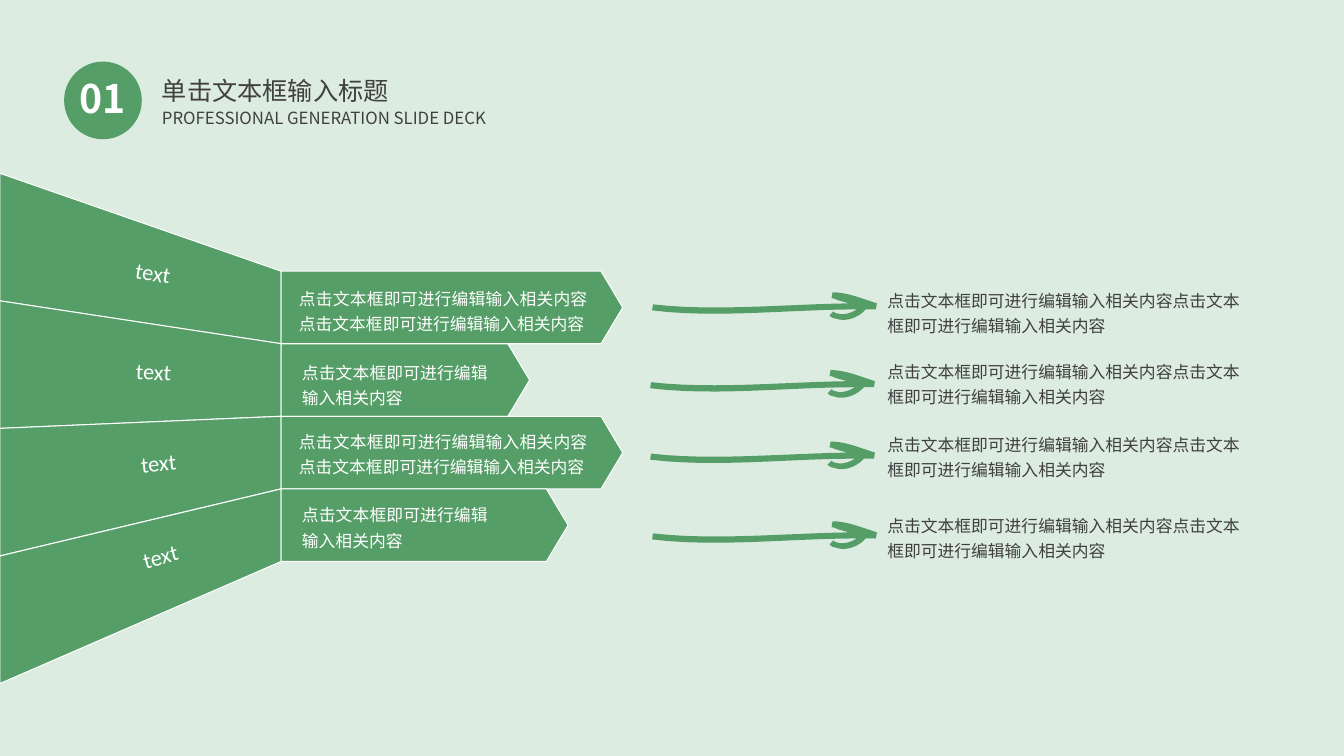
import dataclasses

import pptx
import pptx.dml.color
import pptx.enum.shapes
import pptx.enum.text
import pptx.oxml.ns
import pptx.util
from lxml import etree

Pt = pptx.util.Pt
ALIGN = pptx.enum.text.PP_ALIGN
SHAPES = pptx.enum.shapes.MSO_SHAPE


@dataclasses.dataclass(frozen=True)
class Theme:
    background: str = "DCECE0"
    green: str = "559E67"
    white: str = "FFFFFF"
    dark: str = "404040"
    body_font: str = "Noto Sans CJK SC"
    label_font: str = "Calibri"
    number_size: float = 28
    title_size: float = 18
    label_size: float = 16
    body_size: float = 12
    outline: float = 0.75


@dataclasses.dataclass(frozen=True)
class Box:
    left: float
    top: float
    width: float
    height: float

    def emu(self):
        return [Pt(length) for length in dataclasses.astuple(self)]


@dataclasses.dataclass(frozen=True)
class Row:
    label_center: float
    label_top: float
    angle: float
    tip_width: float
    tip_text: str
    text_box: Box
    arrow_left: float
    arrow_top: float
    note_top: float


THEME = Theme()
PHRASE = "点击文本框即可进行编辑输入相关内容"
ROWS = [
    Row(109, 181.5, 9.5, 244, PHRASE * 2, Box(5.6, 5.5, 220.5, 44), 465.8, 208.8, 200.2),
    Row(109.6, 252, 2.6, 177.5, PHRASE, Box(7.8, 6.5, 147, 44), 464.4, 264.4, 250.9),
    Row(113.4, 317.5, -5.7, 244, PHRASE * 2, Box(5.6, 3.6, 220.5, 44), 464.4, 315.4, 303.5),
    Row(115, 383.8, -15.2, 205, PHRASE, Box(7.8, 4.5, 147, 44), 465.8, 372.4, 361),
]
FAN = Box(0, 123.8, 200.8, 364.4)
TIPS = Box(200.8, 193.7, 244, 207.36)
TIP_DEPTH = 15.5
ARROW_START = (212, 17)
ARROW_SEGMENTS = [
    [(205, 25), (192, 30), (182, 26)],
    [(180, 26), (178, 25), (176, 23)],
    [(180, 19)],
    [(181, 20), (182, 21), (184, 21)],
    [(189, 23), (197, 21), (203, 17)],
    [(137, 17), (65, 26), (0, 18)],
    [(1, 12)],
    [(62, 19), (130, 12), (195, 11)],
    [(194, 11), (193, 10), (192, 10)],
    [(188, 9), (184, 8), (180, 6)],
    [(178, 6)],
    [(179, 0)],
    [(189, 0), (199, 3), (208, 6)],
    [(220, 10)],
    [(223, 11)],
    [(222, 17)],
]


def color(value):
    return pptx.dml.color.RGBColor.from_string(value)


def paint(shape, outlined=True):
    shape.shadow.inherit = False
    shape.fill.solid()
    shape.fill.fore_color.rgb = color(THEME.green)
    if outlined:
        shape.line.color.rgb = color(THEME.white)
        shape.line.width = Pt(THEME.outline)
    else:
        shape.line.fill.background()


def add_text(slide, box, text, size, ink, font=THEME.body_font, align=ALIGN.LEFT,
             spacing=None, bold=False, wrap=True, grow=True):
    shape = slide.shapes.add_textbox(*box.emu())
    frame = shape.text_frame
    frame.text = text
    frame.word_wrap = wrap
    if grow:
        frame.auto_size = pptx.enum.text.MSO_AUTO_SIZE.SHAPE_TO_FIT_TEXT
    paragraph = frame.paragraphs[0]
    paragraph.alignment = align
    if spacing:
        paragraph.line_spacing = spacing
    run = paragraph.runs[0]
    run.font.size = Pt(size)
    run.font.bold = bold
    run.font.name = font
    run.font.color.rgb = color(ink)
    east_asian = etree.SubElement(run.font._element, pptx.oxml.ns.qn("a:ea"))
    east_asian.set("typeface", font)
    return shape


def add_outline(slide, points, outlined):
    scaled = [(x * 100, y * 100) for x, y in points]
    builder = slide.shapes.build_freeform(*scaled[0], scale=Pt(1) / 100)
    builder.add_line_segments(scaled[1:], close=True)
    paint(builder.convert_to_shape(), outlined)


def curve_points(start, first, second, end, steps=12):
    for step in range(1, steps + 1):
        t = step / steps
        weights = ((1 - t) ** 3, 3 * t * (1 - t) ** 2, 3 * t * t * (1 - t), t ** 3)
        yield tuple(sum(weight * point[axis] for weight, point in zip(weights, (start, first, second, end)))
                    for axis in (0, 1))


def add_header(slide, box):
    badge = slide.shapes.add_shape(SHAPES.OVAL, *Box(box.left, box.top, box.height, box.height).emu())
    paint(badge, outlined=False)
    add_text(slide, Box(box.left + 1.5, box.top + 5.5, 52, 41), "01", THEME.number_size,
             THEME.white, align=ALIGN.CENTER, bold=True)
    text_left = box.left + 62.8
    add_text(slide, Box(text_left, box.top - 4.8, 178, 40), "单击文本框输入标题",
             THEME.title_size, THEME.dark, spacing=1.5, wrap=False)
    add_text(slide, Box(text_left, box.top + 29.5, box.width - 62.8, 21.6),
             "PROFESSIONAL GENERATION SLIDE DECK", THEME.body_size, THEME.dark)


def add_fan(slide, box, tips):
    wide, narrow = box.height / len(ROWS), tips.height / len(ROWS)
    right = box.left + box.width
    for index, row in enumerate(ROWS):
        outer, inner = box.top + index * wide, tips.top + index * narrow
        add_outline(slide, [(right, inner), (right, inner + narrow),
                            (box.left, outer + wide), (box.left, outer)], outlined=True)
        label = add_text(slide, Box(box.left + row.label_center - 70, row.label_top, 140, 31), "text",
                         THEME.label_size, THEME.white, THEME.label_font, ALIGN.CENTER, grow=False)
        label.rotation = row.angle


def add_tips(slide, box):
    height = box.height / len(ROWS)
    for index, row in enumerate(ROWS):
        top = box.top + index * height
        tip = slide.shapes.add_shape(SHAPES.PENTAGON, *Box(box.left, top, row.tip_width, height).emu())
        tip.adjustments[0] = TIP_DEPTH / height
        paint(tip)
        text_box = dataclasses.replace(row.text_box, left=box.left + row.text_box.left,
                                       top=top + row.text_box.top)
        add_text(slide, text_box, row.tip_text, THEME.body_size, THEME.white,
                 align=ALIGN.JUSTIFY, spacing=1.25)


def add_arrow(slide, box):
    points = [ARROW_START]
    for segment in ARROW_SEGMENTS:
        points.extend(curve_points(points[-1], *segment) if len(segment) == 3 else segment)
    scale = box.width / 223
    add_outline(slide, [(box.left + x * scale, box.top + y * scale) for x, y in points], outlined=False)


def add_notes_column(slide, left, width):
    for row in ROWS:
        add_arrow(slide, Box(row.arrow_left, row.arrow_top, 160.6, 21.6))
        add_text(slide, Box(left, row.note_top, width, 44), PHRASE * 2,
                 THEME.body_size, THEME.dark, spacing=1.25)


def main():
    presentation = pptx.Presentation()
    presentation.slide_width, presentation.slide_height = Pt(960), Pt(540)
    slide = presentation.slides.add_slide(presentation.slide_layouts[6])
    slide.background.fill.solid()
    slide.background.fill.fore_color.rgb = color(THEME.background)
    add_header(slide, Box(45.8, 44, 396.8, 55.5))
    add_fan(slide, FAN, TIPS)
    add_tips(slide, TIPS)
    add_notes_column(slide, 626.7, 269.3)
    presentation.save("out.pptx")


if __name__ == "__main__":
    main()
